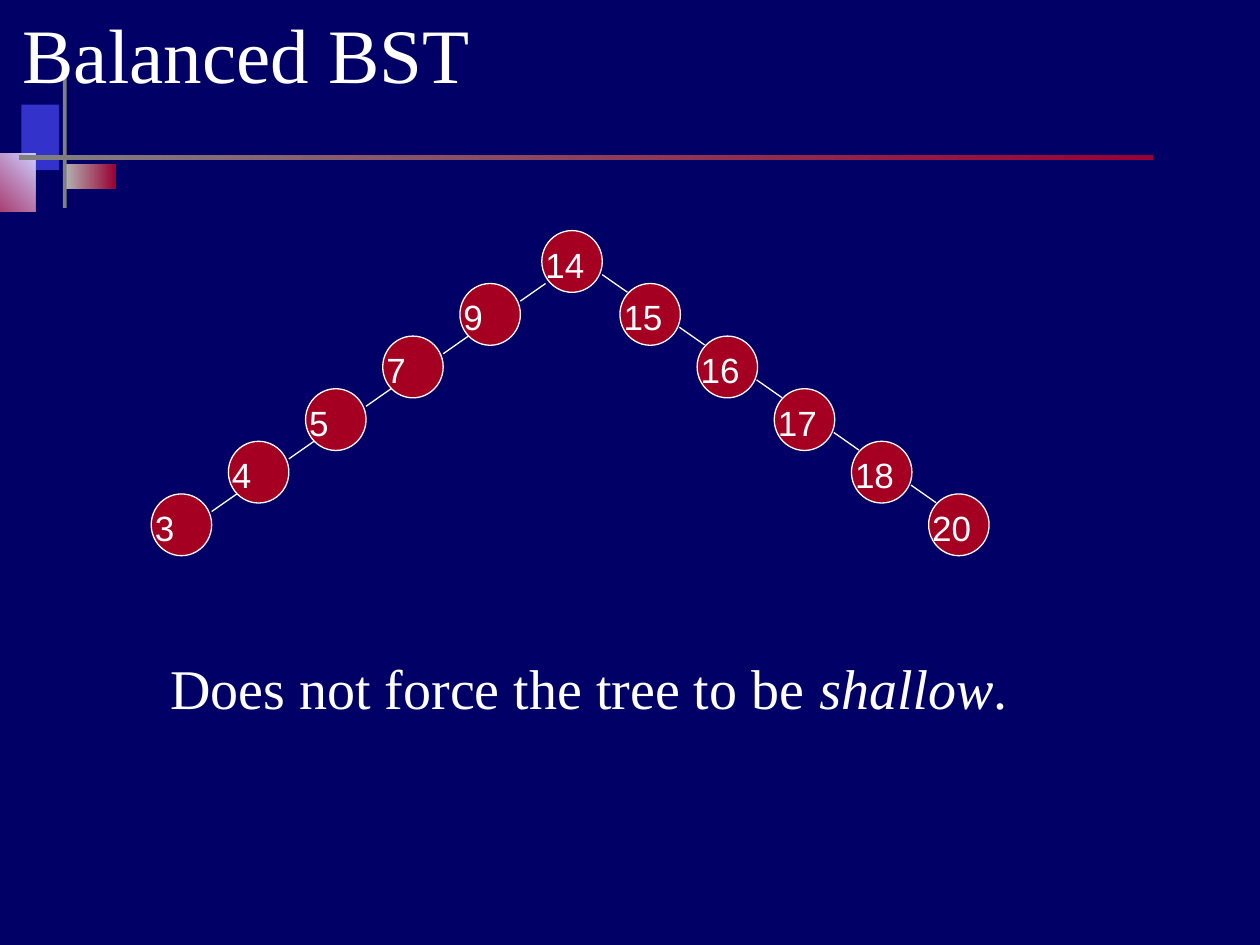
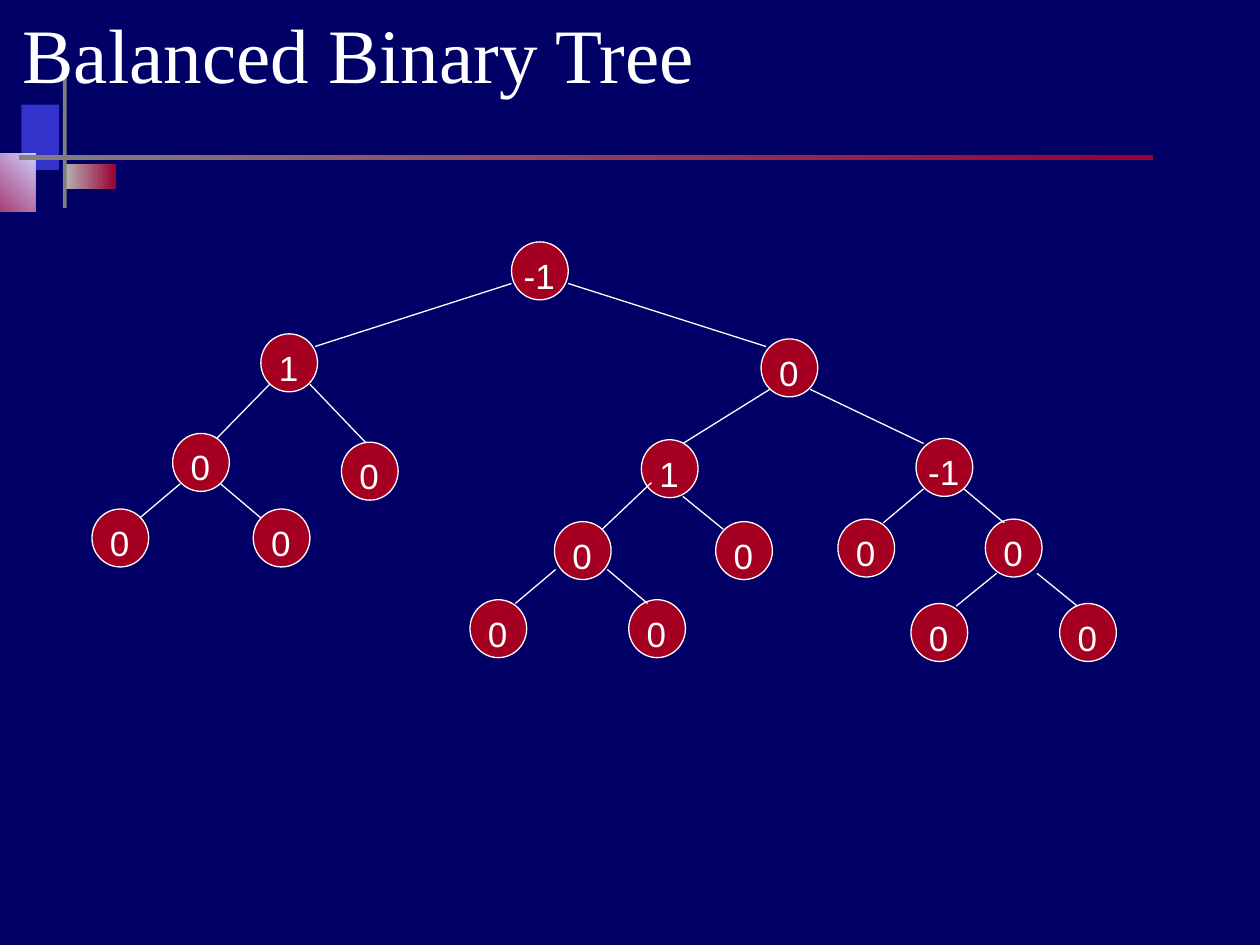
from lxml import etree
from pptx import Presentation
from pptx.dml.color import RGBColor
from pptx.enum import shapes, text
from pptx.oxml import ns
from pptx.util import Inches, Pt

NAVY = RGBColor(0x00, 0x00, 0x66)
WHITE = RGBColor(0xFF, 0xFF, 0xFF)
NODE_RED = RGBColor(0xA5, 0x00, 0x21)
BLUE = RGBColor(0x33, 0x33, 0xCC)
LAVENDER = RGBColor(0xCC, 0xCC, 0xFF)
WINE = RGBColor(0x99, 0x00, 0x33)
GRAY = RGBColor(0x80, 0x80, 0x80)
SILVER = RGBColor(0xB2, 0xB2, 0xB2)

TITLE_FONT = {"name": "Times New Roman", "size": Pt(44)}
BODY_FONT = {"name": "Times New Roman", "size": Pt(32)}
LABEL_FONT = {"name": "Arial", "size": Pt(20)}

# left, top, width, height, gradient or plain colours, angle
BANDS = [
    (0.17, 0.83, 0.3, 0.52, [BLUE], 0),
    (0.52, 1.3, 0.4, 0.2, [SILVER, WINE], 0),
    (-0.33, 1.22, 0.61, 0.46, [WINE, LAVENDER], 45),
    (0.5, 0.5, 0.03, 1.15, [GRAY], 0),
    (0.15, 1.23, 9, 0.04, [GRAY, WINE], 0),
]

CHAIN_DX, CHAIN_DY = 0.6125, 0.4175
CHAIN_SIZE, TREE_SIZE = (0.48, 0.49), (0.45, 0.46)

BALANCE_NODES = [
    ("-1", 4.06, 1.92),
    ("1", 2.07, 2.65), ("0", 6.04, 2.69),
    ("0", 1.37, 3.44), ("0", 2.71, 3.51), ("1", 5.09, 3.49), ("-1", 7.27, 3.48),
    ("0", 0.73, 4.04), ("0", 2.01, 4.04), ("0", 4.4, 4.14),
    ("0", 5.68, 4.14), ("0", 6.65, 4.12), ("0", 7.82, 4.12),
    ("0", 3.73, 4.76), ("0", 4.99, 4.76), ("0", 7.23, 4.79), ("0", 8.41, 4.79),
]

BALANCE_LINKS = [
    (4.06, 2.25, 2.5, 2.75), (4.51, 2.25, 6.08, 2.75),
    (2.14, 3.05, 1.72, 3.48), (2.46, 3.05, 2.9, 3.51),
    (6.11, 3.09, 5.42, 3.52), (6.43, 3.09, 7.33, 3.52),
    (1.43, 3.84, 1.11, 4.11), (1.75, 3.84, 2.07, 4.11),
    (5.17, 3.83, 4.78, 4.2), (5.42, 3.94, 5.74, 4.2),
    (7.33, 3.88, 7.01, 4.15), (7.65, 3.88, 7.97, 4.15),
    (4.41, 4.52, 4.09, 4.79), (4.82, 4.52, 5.14, 4.79),
    (7.91, 4.55, 7.59, 4.81), (8.23, 4.55, 8.55, 4.81),
]


def set_all(obj, values):
    for name, value in values.items():
        setattr(obj, name, value)


def place(sp, left, top, width, height):
    set_all(sp, {"left": Inches(left), "top": Inches(top),
                 "width": Inches(width), "height": Inches(height)})


class Deck:
    def __init__(self):
        self.prs = Presentation()
        self.prs.slide_width, self.prs.slide_height = Inches(10), Inches(7.5)
        self.slide = None
        fill = self.prs.slide_master.background.fill
        fill.solid()
        fill.fore_color.rgb = NAVY

    def new_slide(self, layout, title):
        self.slide = self.prs.slides.add_slide(self.prs.slide_layouts[layout])
        sp = self.slide.shapes.title
        place(sp, 0.08, -0.08, 9, 1)
        set_all(sp.text_frame, {"auto_size": text.MSO_AUTO_SIZE.NONE,
                                "vertical_anchor": text.MSO_ANCHOR.MIDDLE})
        p = sp.text_frame.paragraphs[0]
        p.alignment = text.PP_ALIGN.LEFT
        self.run(p, title, TITLE_FONT)

    def run(self, p, words, font, **extra):
        r = p.add_run()
        r.text = words
        set_all(r.font, {**font, **extra})
        r.font.color.rgb = WHITE

    def master_bands(self):
        """Draw the bands once and move them behind all content of the master."""
        tree = self.prs.slide_master.shapes.element
        for i, (left, top, width, height, colors, angle) in enumerate(BANDS):
            sp = self.slide.shapes.add_shape(
                shapes.MSO_SHAPE.RECTANGLE,
                Inches(left), Inches(top), Inches(width), Inches(height))
            sp.shadow.inherit = False
            sp.line.fill.background()
            if len(colors) == 1:
                sp.fill.solid()
                sp.fill.fore_color.rgb = colors[0]
            else:
                sp.fill.gradient()
                sp.fill.gradient_angle = angle
                for stop, color in zip(sp.fill.gradient_stops, colors):
                    stop.color.rgb = color
            sp.element.nvSpPr.cNvPr.id = 20 + i
            tree.insert(2 + i, sp.element)

    def body(self, runs):
        sp = self.slide.placeholders[1]
        place(sp, 1.25, 5.08, 9, 0.83)
        tf = sp.text_frame
        set_all(tf, {"auto_size": text.MSO_AUTO_SIZE.NONE, "margin_top": Inches(0.11)})
        p = tf.paragraphs[0]
        p.space_before = Pt(0)
        pPr = p._p.get_or_add_pPr()
        pPr.set("marL", str(Inches(0.38)))
        pPr.set("indent", str(Inches(-0.38)))
        etree.SubElement(pPr, ns.qn("a:buNone"))
        for words, italic in runs:
            self.run(p, words, BODY_FONT, italic=italic)

    def node(self, label, left, top, size, label_width, align):
        width, height = size
        group = self.slide.shapes.add_group_shape()
        sp = group.shapes.add_shape(shapes.MSO_SHAPE.OVAL, Inches(left), Inches(top),
                                    Inches(width), Inches(height))
        sp.shadow.inherit = False
        sp.fill.solid()
        sp.fill.fore_color.rgb = NODE_RED
        sp.line.color.rgb = WHITE
        sp.line.width = Pt(0.75)
        box = group.shapes.add_textbox(Inches(left - 0.07), Inches(top + 0.05),
                                       Inches(label_width), Inches(0.44))
        tf = box.text_frame
        set_all(tf, {"word_wrap": True, "auto_size": text.MSO_AUTO_SIZE.SHAPE_TO_FIT_TEXT})
        p = tf.paragraphs[0]
        p.alignment = align
        self.run(p, label, LABEL_FONT)

    def link(self, x1, y1, x2, y2):
        line = self.slide.shapes.add_connector(
            shapes.MSO_CONNECTOR.STRAIGHT,
            Inches(x1), Inches(y1), Inches(x2), Inches(y2))
        line.line.color.rgb = WHITE
        line.line.width = Pt(0.75)
        etree.SubElement(line.element.spPr, ns.qn("a:effectLst"))


def chain_slide(deck):
    deck.new_slide(1, "Balanced BST")
    deck.master_bands()
    deck.body([("Does not force the tree to be ", False), ("shallow", True), (".", False)])

    def chain_node(label, left, top):
        deck.node(label, left, top, CHAIN_SIZE, 0.61, text.PP_ALIGN.LEFT)

    chain_node("14", 4.3, 1.83)
    branches = zip(["9", "7", "5", "4", "3"], ["15", "16", "17", "18", "20"])
    links = []
    for i, (smaller, larger) in enumerate(branches):
        left, right = 3.65 - i * CHAIN_DX, 4.92 + i * CHAIN_DX
        top = 2.25 + i * CHAIN_DY
        chain_node(smaller, left, top)
        chain_node(larger, right, top)
        links += [(left + 0.48, top + 0.14, left + 0.68, top),
                  (right - 0.14, top - 0.07, right + 0.06, top + 0.07)]
    for ends in links:
        deck.link(*ends)


def balance_slide(deck):
    deck.new_slide(5, "Balanced Binary Tree")
    for label, left, top in BALANCE_NODES:
        deck.node(label, left, top, TREE_SIZE, 0.58, text.PP_ALIGN.CENTER)
    for ends in BALANCE_LINKS:
        deck.link(*ends)


def main():
    deck = Deck()
    chain_slide(deck)
    balance_slide(deck)
    deck.prs.save("out.pptx")


if __name__ == "__main__":
    main()
